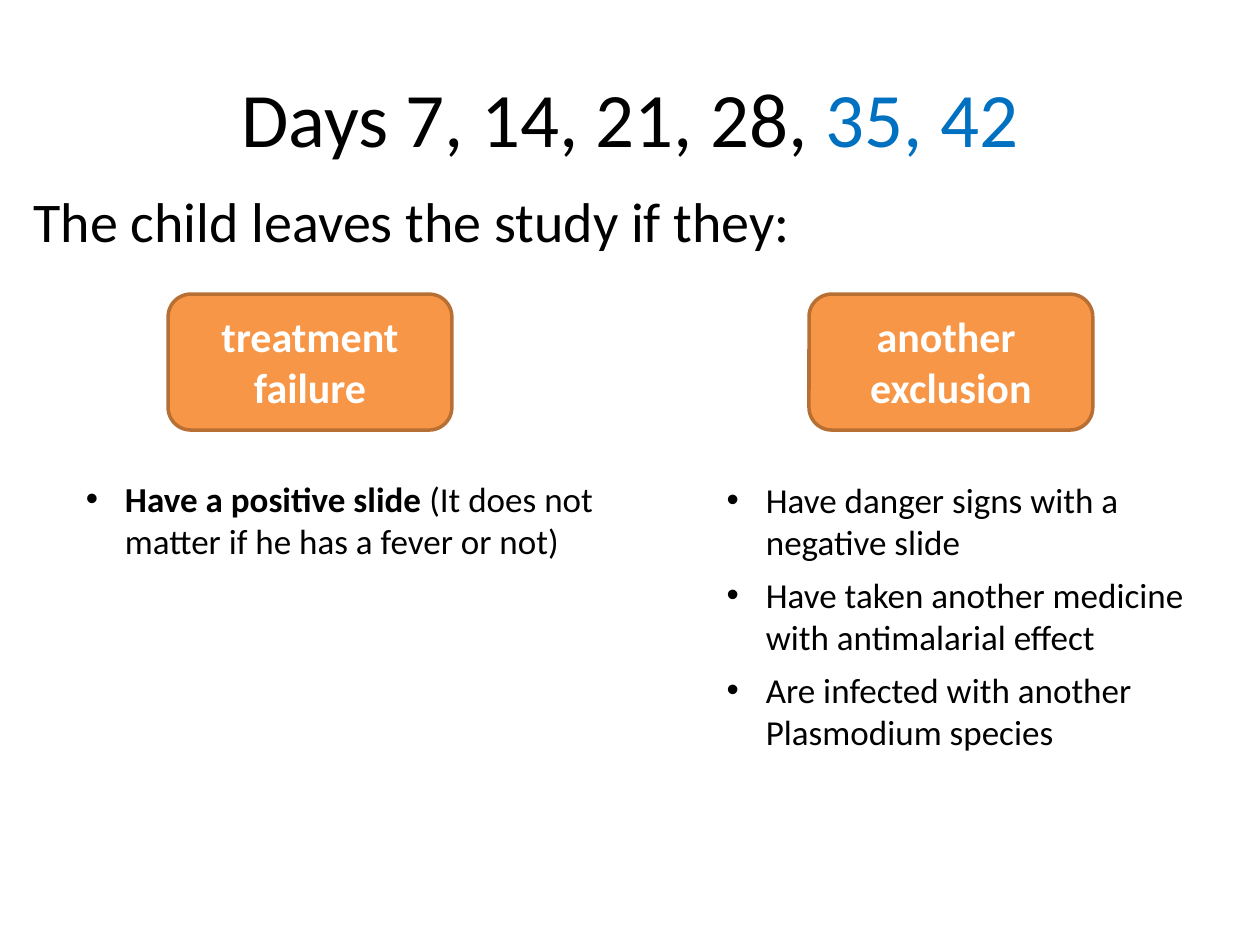
"""Build the slide on when a child leaves the study."""
from lxml import etree
from pptx import Presentation
from pptx.dml.color import RGBColor
from pptx.enum.shapes import MSO_SHAPE
from pptx.enum.text import MSO_ANCHOR, PP_ALIGN
from pptx.oxml.ns import qn
from pptx.util import Cm, Pt

ROUND = MSO_SHAPE.ROUNDED_RECTANGLE
MIDDLE = MSO_ANCHOR.MIDDLE
LEFT, CENTER = PP_ALIGN.LEFT, PP_ALIGN.CENTER
BLACK = RGBColor(0x00, 0x00, 0x00)
WHITE = RGBColor(0xFF, 0xFF, 0xFF)
BLUE = RGBColor(0x00, 0x70, 0xC0)
ORANGE = RGBColor(0xF7, 0x96, 0x46)
BROWN = RGBColor(0xB7, 0x6F, 0x34)
FONT = "Calibri"

TITLE = [[("Days 7, 14, 21, 28, ", BLACK, False), ("35, 42", BLUE, False)]]
INTRO = [[("The child leaves the study if they:", BLACK, False)]]
COLUMNS = [
    {
        "label": ["treatment failure"],
        "left": 3.39,
        "list": (1.48, 9.5, 10.77, 1.95),
        "points": [[
            ("Have a positive slide ", BLACK, True),
            ("(It does not matter if he has a fever or not)", BLACK, False),
        ]],
    },
    {
        "label": ["another ", "exclusion"],
        "left": 16.31,
        "list": (14.4, 9.53, 10.16, 5.82),
        "points": [
            [("Have danger signs with a negative slide", BLACK, False)],
            [("Have taken another medicine with antimalarial effect", BLACK, False)],
            [("Are infected with another Plasmodium species", BLACK, False)],
        ],
    },
]
CARD_TOP, CARD_WIDTH, CARD_HEIGHT = 5.93, 5.72, 2.74
LABEL_TOP, LABEL_HEIGHT = 6.14, 2.31
INDENT = Cm(0.79)


def write(frame, lines, size, align=LEFT):
    frame.word_wrap = True
    for i, line in enumerate(lines):
        para = frame.paragraphs[0] if i == 0 else frame.add_paragraph()
        para.alignment = align
        for text, color, bold in line:
            run = para.add_run()
            run.text = text
            font = run.font
            font.name, font.size, font.bold = FONT, Pt(size), bold
            font.color.rgb = color


def add_text(slide, box, lines, size, align=LEFT):
    frame = slide.shapes.add_textbox(*map(Cm, box)).text_frame
    write(frame, lines, size, align)
    return frame


def add_card(slide, left):
    card = slide.shapes.add_shape(
        ROUND, Cm(left), Cm(CARD_TOP), Cm(CARD_WIDTH), Cm(CARD_HEIGHT))
    card.shadow.inherit = False
    card.fill.solid()
    card.fill.fore_color.rgb = ORANGE
    card.line.color.rgb = BROWN
    card.line.width = Pt(2)


def add_bullets(frame):
    for para in frame.paragraphs:
        para.space_after = Pt(6)
        props = para._p.get_or_add_pPr()
        props.set("marL", str(INDENT))
        props.set("indent", str(-INDENT))
        etree.SubElement(props, qn("a:buFont"), typeface="Arial")
        etree.SubElement(props, qn("a:buChar"), char="•")


def main():
    deck = Presentation()
    deck.slide_width, deck.slide_height = Cm(25.4), Cm(19.05)
    slide = deck.slides.add_slide(deck.slide_layouts[5])

    title = slide.shapes.title
    title.left, title.top, title.width, title.height = map(
        Cm, (1.27, 0.76, 22.86, 3.18))
    title.text_frame.vertical_anchor = MIDDLE
    write(title.text_frame, TITLE, 44, CENTER)
    add_text(slide, (0.43, 3.63, 22.86, 2.41), INTRO, 32)

    for col in COLUMNS:
        add_card(slide, col["left"])
        label = [[(text, WHITE, True)] for text in col["label"]]
        box = (col["left"], LABEL_TOP, CARD_WIDTH, LABEL_HEIGHT)
        add_text(slide, box, label, 24, CENTER)
        add_bullets(add_text(slide, col["list"], col["points"], 20))

    deck.save("out.pptx")


if __name__ == "__main__":
    main()
